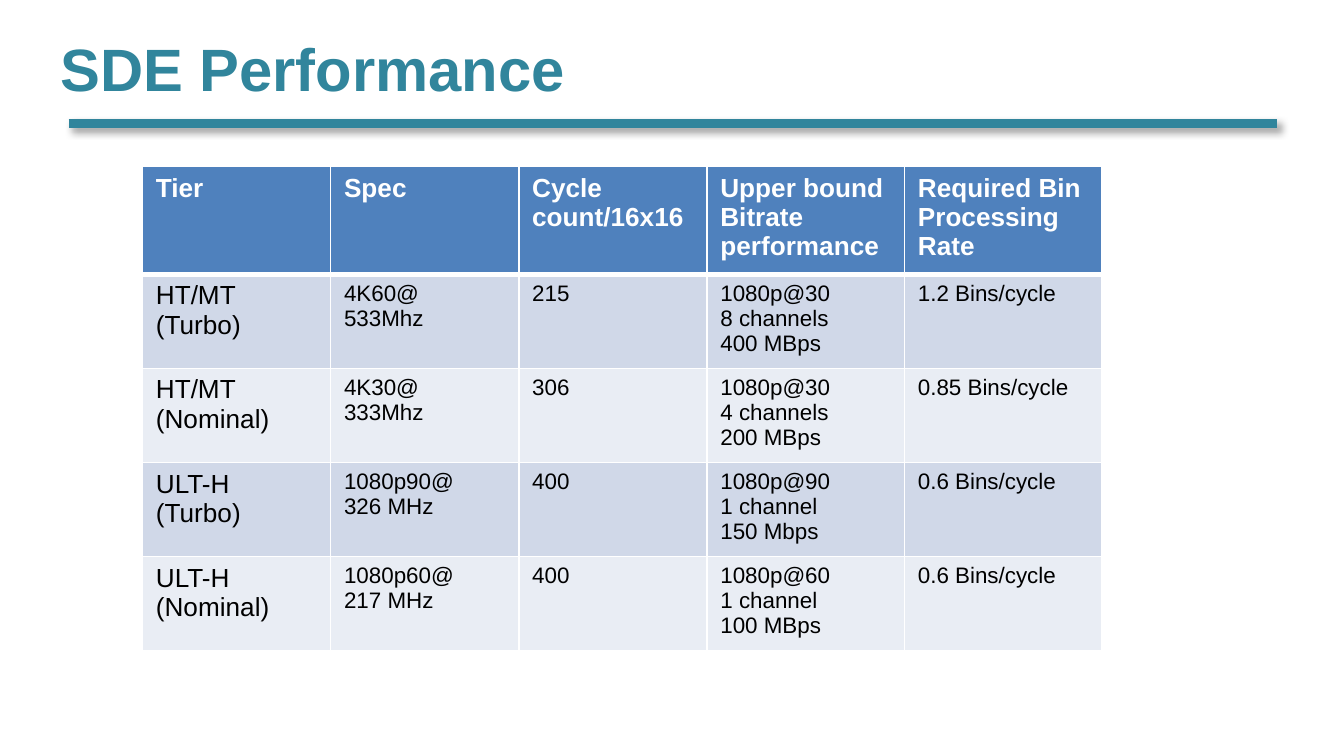
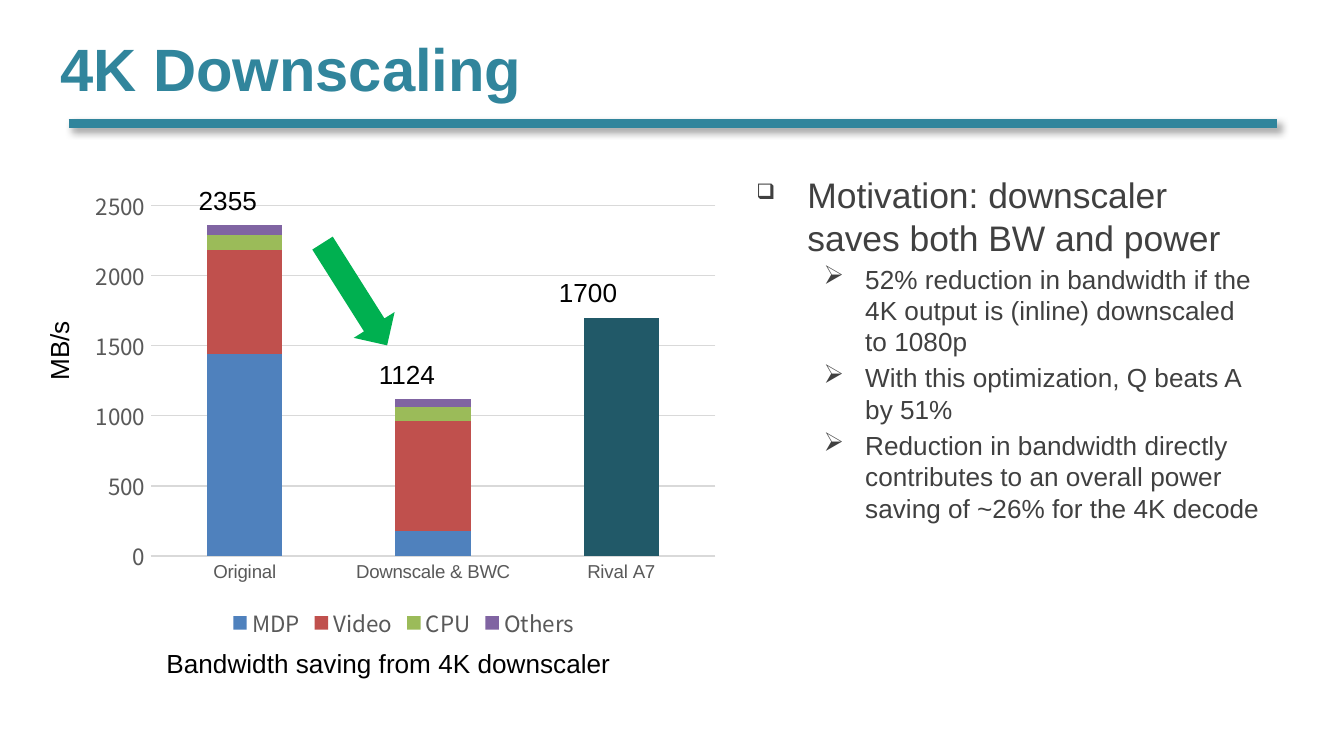
"""Build two slides on decoder performance and 4K downscaling."""
from dataclasses import dataclass

from lxml import etree
from pptx import Presentation
from pptx import util as u
from pptx.chart.data import CategoryChartData
from pptx.dml.color import RGBColor
from pptx.enum import chart as charts, shapes, text
from pptx.oxml import parse_xml
from pptx.oxml.ns import nsdecls, qn


@dataclass(frozen=True)
class Theme:
    teal: str = "31859C"
    dark_teal: str = "215968"
    blue: str = "4F81BD"
    red: str = "C0504D"
    lime: str = "9BBB59"
    purple: str = "8064A2"
    green: str = "00B050"
    black: str = "000000"
    white: str = "FFFFFF"
    body: str = "404040"
    axis: str = "595959"
    grid: str = "D9D9D9"
    bands: tuple = ("D0D8E8", "E9EDF4")
    font: str = "Arial"
    chart_font: str = "Noto Sans CJK KR"
    title_size: int = 32
    lead_size: int = 19
    text_size: int = 14
    small_size: int = 12
    tick_size: int = 10


theme = Theme()


def style(font, size, colour, name=theme.font, bold=False):
    font.size = u.Pt(size)
    font.color.rgb = RGBColor.from_string(colour)
    font.name = name
    font.bold = bold


def write(frame, content, size, colour, bold=False):
    frame.word_wrap = True
    frame.text = content
    for para in frame.paragraphs:
        for span in para.runs:
            style(span.font, size, colour, bold=bold)


deck = Presentation()
deck.slide_width = u.Inches(10)
deck.slide_height = deck.slide_width * 9 // 16

pages = []
for title in ("SDE Performance", "4K Downscaling"):
    page = deck.slides.add_slide(deck.slide_layouts[6])
    rule = page.shapes.add_connector(
        shapes.MSO_CONNECTOR.STRAIGHT,
        u.Inches(0.51), u.Inches(0.92), u.Inches(9.5), u.Inches(0.92))
    rule.line.color.rgb = RGBColor.from_string(theme.teal)
    rule.line.width = u.Pt(4.5)
    rule._element.spPr.append(parse_xml(
        f'<a:effectLst {nsdecls("a")}><a:outerShdw blurRad="{u.Pt(4)}" dist="{u.Pt(3)}" '
        f'dir="2700000" algn="tl" rotWithShape="0"><a:srgbClr val="{theme.black}">'
        '<a:alpha val="40000"/></a:srgbClr></a:outerShdw></a:effectLst>'))
    box = page.shapes.add_textbox(
        u.Inches(0.35), u.Inches(0.03), u.Inches(9.65), u.Inches(0.94))
    box.text_frame.vertical_anchor = text.MSO_ANCHOR.MIDDLE
    write(box.text_frame, title, theme.title_size, theme.teal, bold=True)
    pages.append(page)
performance, downscaling = pages

rows = [
    ("Tier", "Spec", "Cycle count/16x16", "Upper bound Bitrate performance",
     "Required Bin Processing Rate"),
    ("HT/MT (Turbo)", "4K60@\n533Mhz", "215", "1080p@30\n8 channels\n400 MBps", "1.2 Bins/cycle"),
    ("HT/MT (Nominal)", "4K30@\n333Mhz", "306", "1080p@30\n4 channels\n200 MBps", "0.85 Bins/cycle"),
    ("ULT-H (Turbo)", "1080p90@\n326 MHz", "400", "1080p@90\n1 channel\n150 Mbps", "0.6 Bins/cycle"),
    ("ULT-H (Nominal)", "1080p60@\n217 MHz", "400", "1080p@60\n1 channel\n100 MBps", "0.6 Bins/cycle"),
]
holder = performance.shapes.add_table(
    len(rows), 5, u.Inches(1.06), u.Inches(1.24), u.Inches(7.14), u.Inches(3.6))
tiers = holder.table
for column, width in zip(tiers.columns, (1.4, 1.4, 1.4, 1.47, 1.47)):
    column.width = u.Inches(width)
for r, values in enumerate(rows):
    header = r == 0
    tiers.rows[r].height = u.Inches(0.41)
    for c, value in enumerate(values):
        cell = tiers.cell(r, c)
        cell.fill.solid()
        cell.fill.fore_color.rgb = RGBColor.from_string(
            theme.blue if header else theme.bands[(r - 1) % 2])
        write(cell.text_frame, value,
              theme.text_size if header or c == 0 else theme.small_size,
              theme.white if header else theme.black, bold=header)
        for position, side in enumerate("LRTB"):
            thick = (r, side) in ((0, "B"), (1, "T"))
            cell._tc.tcPr.insert(position, parse_xml(
                f'<a:ln{side} {nsdecls("a")} w="{u.Pt(3 if thick else 1)}"><a:solidFill>'
                f'<a:srgbClr val="{theme.white}"/></a:solidFill></a:ln{side}>'))
holder.height = u.Inches(3.6)

data = CategoryChartData()
data.categories = ["Original", "Downscale & BWC", "Rival A7"]
data.add_series("MDP", (1440, 180, 1700))
data.add_series("Video", (740, 780, None))
data.add_series("CPU", (110, 100, None))
data.add_series("Others", (70, 60, None))
chart = downscaling.shapes.add_chart(
    charts.XL_CHART_TYPE.COLUMN_STACKED,
    u.Inches(0.59), u.Inches(1.32), u.Inches(4.83), u.Inches(3.48), data).chart
style(chart.font, theme.tick_size, theme.black, theme.chart_font)
chart.has_title = False
chart.has_legend = True
chart.legend.position = charts.XL_LEGEND_POSITION.BOTTOM
chart.legend.include_in_layout = False
style(chart.legend.font, theme.small_size, theme.axis, theme.chart_font)

plot = chart.plots[0]
plot.gap_width, plot.overlap, plot.vary_by_categories = 150, 100, False
for series, colour in zip(plot.series, (theme.blue, theme.red, theme.lime, theme.purple)):
    series.format.fill.solid()
    series.format.fill.fore_color.rgb = RGBColor.from_string(colour)
rival = plot.series[0].points[2].format.fill
rival.solid()
rival.fore_color.rgb = RGBColor.from_string(theme.dark_teal)

categories, bandwidth = chart.category_axis, chart.value_axis
for axis in (categories, bandwidth):
    axis.major_tick_mark = axis.minor_tick_mark = charts.XL_TICK_MARK.NONE
style(categories.tick_labels.font, theme.tick_size, theme.axis)
style(bandwidth.tick_labels.font, theme.small_size, theme.axis, theme.chart_font)
bandwidth.minimum_scale, bandwidth.maximum_scale, bandwidth.major_unit = 0, 2500, 500
bandwidth.format.line.fill.background()
for line in (categories.format.line, bandwidth.major_gridlines.format.line):
    line.color.rgb = RGBColor.from_string(theme.grid)
    line.width = u.Pt(0.75)

area = chart._chartSpace.chart.plotArea
for layout in area.findall(qn("c:layout")):
    area.remove(layout)
layout = parse_xml(f'<c:layout {nsdecls("c")}><c:manualLayout/></c:layout>')
for tag, value in (("layoutTarget", "inner"), ("xMode", "edge"), ("yMode", "edge"),
                   ("x", "0.11"), ("y", "0.06"), ("w", "0.87"), ("h", "0.75")):
    etree.SubElement(layout[0], qn(f"c:{tag}")).set("val", value)
area.insert(0, layout)

for label, left, top, width, turn in (
        ("Bandwidth saving from 4K downscaler", 1.14, 4.77, 3.54, 0),
        ("MB/s", 0.1, 2.42, 0.68, 270),
        ("2355", 1.38, 1.32, 0.71, 0),
        ("1124", 2.72, 2.62, 0.71, 0),
        ("1700", 4.06, 2.01, 0.71, 0)):
    box = downscaling.shapes.add_textbox(
        u.Inches(left), u.Inches(top), u.Inches(width), u.Inches(0.34))
    box.rotation = turn
    write(box.text_frame, label, theme.text_size, theme.black)

arrow = downscaling.shapes.add_shape(
    shapes.MSO_SHAPE.RIGHT_ARROW, u.Inches(2.19), u.Inches(2.01), u.Inches(0.9), u.Inches(0.36))
arrow.rotation = 57.7
arrow.shadow.inherit = False
arrow.fill.solid()
arrow.fill.fore_color.rgb = RGBColor.from_string(theme.green)
arrow.line.fill.background()

points = [
    "Motivation: downscaler saves both BW and power",
    "52% reduction in bandwidth if the 4K output is (inline) downscaled to 1080p",
    "With this optimization, Q beats A by 51%",
    "Reduction in bandwidth directly contributes to an overall power saving of ~26% for the 4K decode",
]
box = downscaling.shapes.add_textbox(
    u.Inches(5.53), u.Inches(1.24), u.Inches(3.97), u.Inches(3.23))
write(box.text_frame, "\n".join(points), theme.text_size, theme.body)
for i, para in enumerate(box.text_frame.paragraphs):
    lead = i == 0
    para.level = 0 if lead else 1
    indent, hang, mark, scale = (0.38, 0.38, "❑", 60) if lead else (0.81, 0.31, "➢", 100)
    properties = para._p.get_or_add_pPr()
    properties.set("marL", str(u.Inches(indent)))
    properties.set("indent", str(-u.Inches(hang)))
    etree.SubElement(properties, qn("a:buSzPct")).set("val", str(scale * 1000))
    etree.SubElement(properties, qn("a:buChar")).set("char", mark)
    if lead:
        para.runs[0].font.size = u.Pt(theme.lead_size)
    else:
        para.space_before = u.Pt(2.5)

deck.save("out.pptx")
